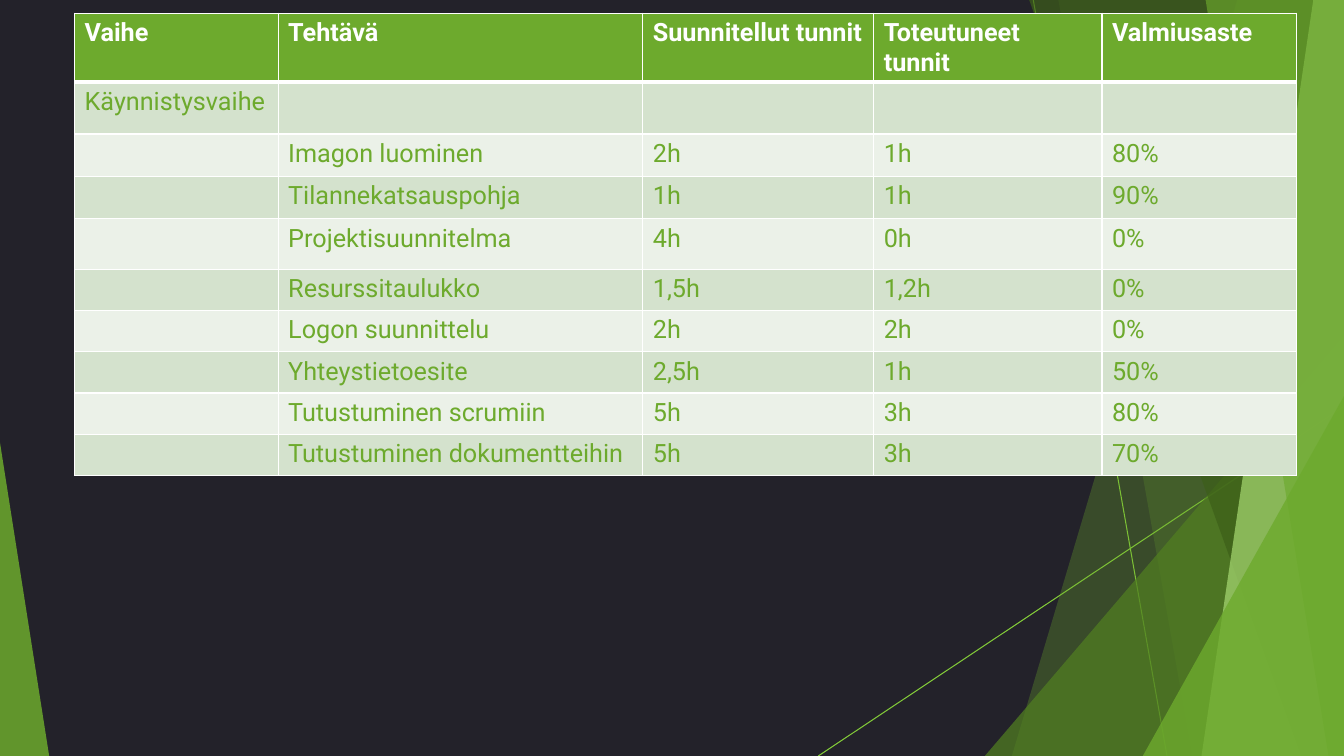
"""Build the project hours slide: a task table over angular green panels."""
from pptx import Presentation
from pptx.dml.color import RGBColor as Rgb
from pptx.enum.shapes import MSO_CONNECTOR as Connector, MSO_SHAPE as Shape
from pptx.oxml.ns import qn
from pptx.oxml.xmlchemy import OxmlElement as Element
from pptx.util import Cm, Pt

WIDTH, HEIGHT = 33.87, 19.05
COLORS = {
    "night": "23222A", "green": "6DAA2D", "lime": "83CB39", "moss": "517F21",
    "forest": "3D5F19", "mint": "A8DA73", "white": "FFFFFF",
    "band_dark": "D4E2CD", "band_light": "EBF1E8",
}


def color(name):
    return Rgb.from_string(COLORS[name])


def write(frame, text, font="Roboto", size=18, ink="green", bold=False):
    paragraph = frame.paragraphs[0]
    target = paragraph.add_run() if text else paragraph
    if text:
        target.text = text
    target.font.name, target.font.size = font, Pt(size)
    target.font.bold = bold
    target.font.color.rgb = color(ink)


class Deck:
    def __init__(self):
        self.show = Presentation()
        self.show.slide_width, self.show.slide_height = Cm(WIDTH), Cm(HEIGHT)
        self.slide = self.show.slides.add_slide(self.show.slide_layouts[6])
        self.paint(self.slide.background, "night")

    def paint(self, target, name):
        target.fill.solid()
        target.fill.fore_color.rgb = color(name)

    def glaze(self, shape, name, opacity):
        self.paint(shape, name)
        alpha = Element("a:alpha")
        alpha.set("val", str(opacity * 1000))
        shape._element.spPr.find(f".//{qn('a:srgbClr')}").append(alpha)
        shape.line.fill.background()
        shape.shadow.inherit = False

    def ray(self, x1, y1, x2, y2):
        ray = self.slide.shapes.add_connector(
            Connector.STRAIGHT, Cm(x1), Cm(y1), Cm(x2), Cm(y2))
        ray.line.color.rgb, ray.line.width = color("lime"), Pt(0.75)
        ray._element.spPr.append(Element("a:effectLst"))

    def panel(self, top_x, bottom_x, name, opacity):
        corners = [(top_x, -0.02), (WIDTH, -0.02), (WIDTH, HEIGHT), (bottom_x, HEIGHT)]
        points = [(Cm(x), Cm(y)) for x, y in corners]
        outline = self.slide.shapes.build_freeform(*points[0])
        outline.add_line_segments(points[1:], close=True)
        self.glaze(outline.convert_to_shape(), name, opacity)

    def wedge(self, left, top, width, apex, name, opacity):
        wedge = self.slide.shapes.add_shape(
            Shape.ISOSCELES_TRIANGLE, Cm(left), Cm(top), Cm(width), Cm(HEIGHT - top))
        wedge.adjustments[0] = apex
        self.glaze(wedge, name, opacity)

    def border(self, cell, **widths):
        for index, (side, width) in enumerate(widths.items()):
            edge, fill, tint = (Element(tag) for tag in
                                (f"a:ln{side}", "a:solidFill", "a:srgbClr"))
            edge.set("w", str(Pt(width)))
            tint.set("val", COLORS["white"])
            fill.append(tint)
            edge.append(fill)
            cell._tc.get_or_add_tcPr().insert(index, edge)

    def table(self, left, top, widths, heights, rows):
        grid = self.slide.shapes.add_table(
            len(rows), len(widths), Cm(left), Cm(top),
            Cm(sum(widths)), Cm(sum(heights))).table
        for column, width in zip(grid.columns, widths):
            column.width = Cm(width)
        for r, (row, height) in enumerate(zip(rows, heights)):
            grid.rows[r].height = Cm(height)
            band = "band_dark" if r % 2 else "band_light"
            for c, text in enumerate(row):
                cell = grid.cell(r, c)
                self.paint(cell, band if r else "green")
                write(cell.text_frame, text, ink="green" if r else "white", bold=r == 0)
                self.border(cell, L=1, R=1, T=3 if r == 1 else 1, B=1 if r else 3)


HEADINGS = ("Vaihe", "Tehtävä", "Suunnitellut tunnit", "Toteutuneet tunnit", "Valmiusaste")
PHASE = ("Käynnistysvaihe", "", "", "", "")
TASKS = [
    ("Imagon luominen", "2h", "1h", "80%"),
    ("Tilannekatsauspohja", "1h", "1h", "90%"),
    ("Projektisuunnitelma", "4h", "0h", "0%"),
    ("Resurssitaulukko", "1,5h", "1,2h", "0%"),
    ("Logon suunnittelu", "2h", "2h", "0%"),
    ("Yhteystietoesite", "2,5h", "1h", "50%"),
    ("Tutustuminen scrumiin", "5h", "3h", "80%"),
    ("Tutustuminen dokumentteihin", "5h", "3h", "70%"),
]

deck = Deck()
deck.ray(26.04, 0, 29.41, HEIGHT)
deck.ray(WIDTH, 10.24, 20.62, HEIGHT)
deck.panel(31.19, 25.5, "green", 30)
deck.panel(26.67, 30.05, "green", 20)
deck.wedge(24.82, 8.46, 9.05, 1, "moss", 72)
deck.panel(25.93, 32.79, "forest", 70)
deck.panel(33.1, 30.28, "mint", 70)
deck.panel(30.38, 33.48, "green", 65)
deck.wedge(28.8, 9.98, 5.07, 1, "green", 80)
deck.wedge(0, 11.15, 1.24, 0, "green", 85)
deck.table(1.88, 0.33,
           widths=[5.13, 9.19, 5.82, 5.75, 4.91],
           heights=[1.73, 1.3, 1.07, 1.07, 1.27] + [1.04] * 5,
           rows=[HEADINGS, PHASE] + [("", *task) for task in TASKS])
deck.show.save("out.pptx")
